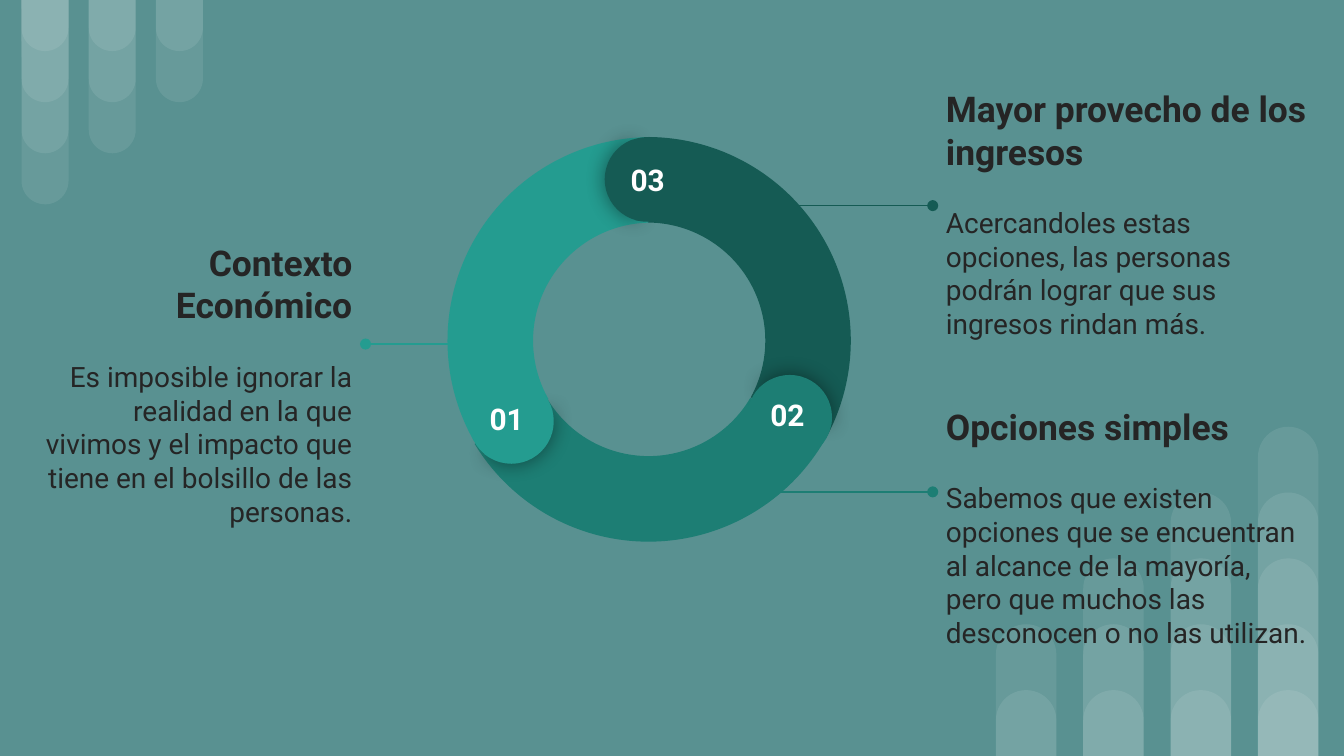
import pptx
import pptx.util
import pptx.dml.color
import pptx.enum.shapes
import pptx.enum.text
import lxml.etree
from dataclasses import dataclass

SHAPES = pptx.enum.shapes.MSO_SHAPE
ALIGN = pptx.enum.text.PP_ALIGN
ANCHOR = pptx.enum.text.MSO_ANCHOR
DRAWING = "{http://schemas.openxmlformats.org/drawingml/2006/main}"


@dataclass(frozen=True)
class Theme:
    font: str = "Roboto"
    background: str = "599191"
    ink: str = "252525"
    white: str = "FFFFFF"
    black: str = "000000"
    light: str = "249C90"
    middle: str = "1D7E74"
    dark: str = "155B54"
    heading: int = 19
    body: int = 15
    number: int = 16
    gap: int = 18
    line: float = 0.75


THEME = Theme()
COLUMNS = 10
ROWS = COLUMNS * 9 / 16
RING, CAP = 3.03, 0.63
ARC_ANGLES = (126.23, 197.2, 0.21)
SHADED_CAP = (61.9, 149.96)
PLAIN_CAP = (40.28, 171.84)

BARS = [
    dict(left=0.16, pitch=0.5, width=0.35, step=0.38, levels=(4, 3, 2), hanging=True),
    dict(left=7.41, pitch=0.65, width=0.45, step=0.49, levels=(2, 3, 4, 5), hanging=False),
]

TOPICS = [
    dict(heading="Contexto Económico",
         body="Es imposible ignorar la realidad en la que vivimos y el impacto "
              "que tiene en el bolsillo de las personas.",
         place=(0.18, 1.71, 2.54, 2.3), align=ALIGN.RIGHT,
         line=(3.42, 2.72, 2.56), color=THEME.light),
    dict(heading="Mayor provecho de los ingresos",
         body="Acercandoles estas opciones, las personas podrán lograr que sus "
              "ingresos rindan más.",
         place=(6.94, 0.56, 2.9, 2.06), align=ALIGN.LEFT,
         line=(5.53, 6.94, 1.53), color=THEME.dark),
    dict(heading="Opciones simples",
         body="Sabemos que existen opciones que se encuentran al alcance de la "
              "mayoría, pero que muchos las desconocen o no las utilizan.",
         place=(6.94, 2.81, 2.9, 2.22), align=ALIGN.LEFT,
         line=(5.53, 6.94, 3.66), color=THEME.middle),
]

SEGMENTS = [
    dict(number="03", color=THEME.dark, turn=60, ring=(3.3, 1.02),
         cap=(4.5, 1.02), label=(4.54, 1.1)),
    dict(number="02", color=THEME.middle, turn=180, ring=(3.31, 1),
         cap=(5.56, 2.79), label=(5.58, 2.85)),
    dict(number="01", color=THEME.light, turn=300, ring=(3.33, 1.02),
         cap=(3.49, 2.82), label=(3.49, 2.88)),
]

deck = pptx.Presentation()
deck.slide_width = pptx.util.Inches(COLUMNS)
deck.slide_height = pptx.util.Inches(ROWS)
page = deck.slides.add_slide(deck.slide_layouts[6])


def grid(*cells):
    return [round(cell * deck.slide_width / COLUMNS) for cell in cells]


def rgb(color):
    return pptx.dml.color.RGBColor.from_string(color)


def apply(target, values):
    for name, value in values.items():
        setattr(target, name, value)


def add_child(parent, tag, **values):
    return lxml.etree.SubElement(parent, DRAWING + tag, values)


def paint(fill, color):
    fill.solid()
    fill.fore_color.rgb = rgb(color)


def add_figure(kind, place, color, adjustments, turn=0, opacity=None):
    shape = page.shapes.add_shape(kind, *grid(*place))
    shape.shadow.inherit = False
    shape.rotation = turn % 360
    shape.line.fill.background()
    paint(shape.fill, color)
    for index, value in enumerate(adjustments):
        shape.adjustments[index] = value
    if opacity:
        tint = next(shape.element.spPr.iter(DRAWING + "srgbClr"))
        add_child(tint, "alpha", val=str(opacity * 1000))
    return shape


def add_shadow(shape):
    effects = shape.element.spPr.find(DRAWING + "effectLst")
    shadow = add_child(effects, "outerShdw", blurRad=str(pptx.util.Pt(11.2)),
                       dist="0", dir="0", algn="ctr", rotWithShape="0")
    add_child(add_child(shadow, "srgbClr", val=THEME.black), "alpha", val="43000")


def add_text(place, paragraphs, align, anchor):
    frame = page.shapes.add_textbox(*grid(*place)).text_frame
    margin = grid(0.1)[0]
    apply(frame, dict(word_wrap=True, vertical_anchor=anchor, margin_left=margin,
                      margin_right=margin, margin_top=margin, margin_bottom=margin))
    for index, (text, size, bold, color, gap) in enumerate(paragraphs):
        para = frame.add_paragraph() if index else frame.paragraphs[0]
        apply(para, dict(alignment=align, space_before=pptx.util.Pt(gap)))
        span = para.add_run()
        span.text = text
        apply(span.font, dict(name=THEME.font, size=pptx.util.Pt(size), bold=bold))
        span.font.color.rgb = rgb(color)


def add_pointer(start, end, row, color):
    pointer = page.shapes.add_connector(
        pptx.enum.shapes.MSO_CONNECTOR.STRAIGHT, *grid(start, row, end, row))
    pointer.line.width = pptx.util.Pt(THEME.line)
    paint(pointer.line.fill, color)
    add_child(pointer.element.spPr.find(DRAWING + "ln"), "tailEnd", type="oval")
    add_child(pointer.element.spPr, "effectLst")


paint(page.background.fill, THEME.background)

for bars in BARS:
    for column, levels in enumerate(bars["levels"]):
        left = bars["left"] + column * bars["pitch"]
        for level in range(1, levels + 1):
            height = level * bars["step"]
            top = 0 if bars["hanging"] else ROWS - height
            add_figure(SHAPES.ROUND_2_SAME_RECTANGLE, (left, top, bars["width"], height),
                       THEME.white, (0.5, 0), 180 if bars["hanging"] else 0, 9)

for topic in TOPICS:
    add_text(topic["place"],
             [(topic["heading"], THEME.heading, True, THEME.ink, 0),
              (topic["body"], THEME.body, False, THEME.ink, THEME.gap)],
             topic["align"], ANCHOR.MIDDLE)
    add_pointer(*topic["line"], topic["color"])

for segment in SEGMENTS:
    add_figure(SHAPES.BLOCK_ARC, (*segment["ring"], RING, RING), segment["color"],
               ARC_ANGLES, segment["turn"])

for segment in SEGMENTS:
    place = (*segment["cap"], CAP, CAP)
    add_shadow(add_figure(SHAPES.PIE, place, segment["color"], SHADED_CAP,
                          segment["turn"] - 60))
    add_figure(SHAPES.PIE, place, segment["color"], PLAIN_CAP, segment["turn"] + 120)
    add_text((*segment["label"], 0.56, 0.29),
             [(segment["number"], THEME.number, True, THEME.white, 0)],
             ALIGN.CENTER, ANCHOR.TOP)

deck.save("out.pptx")
